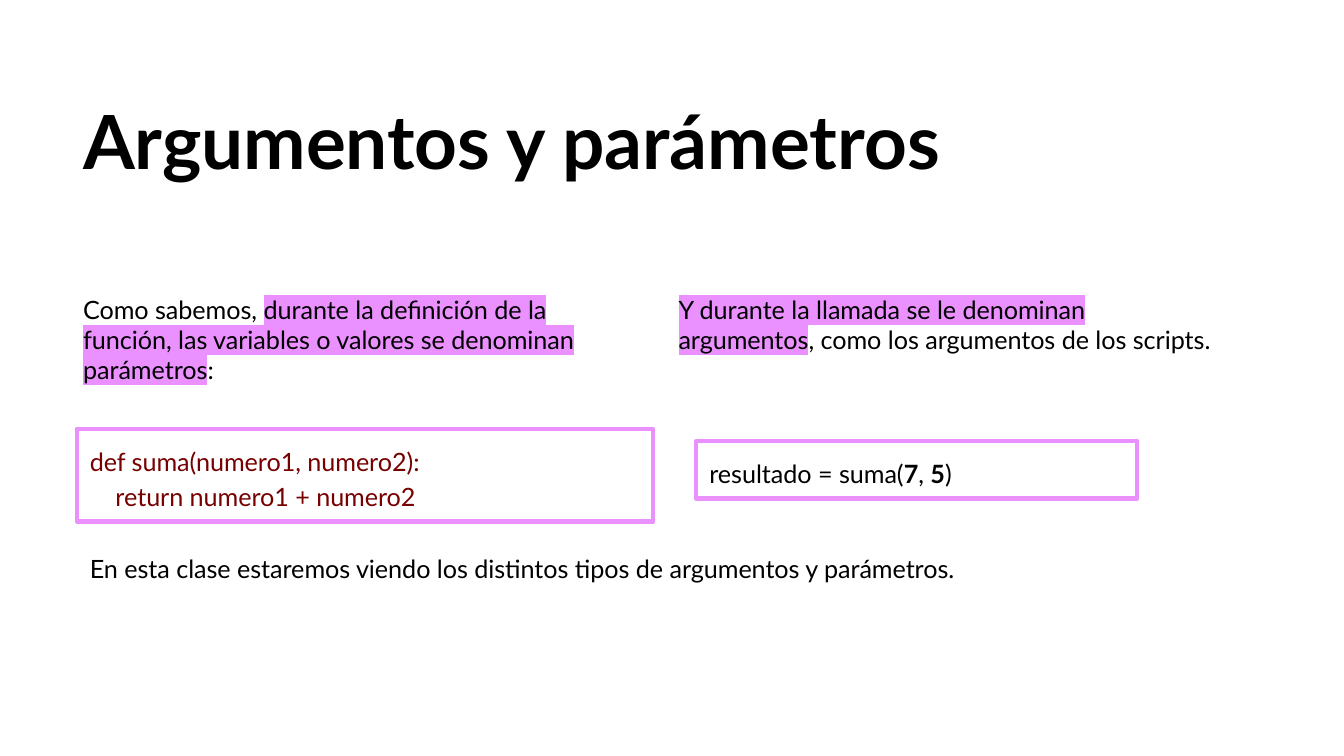
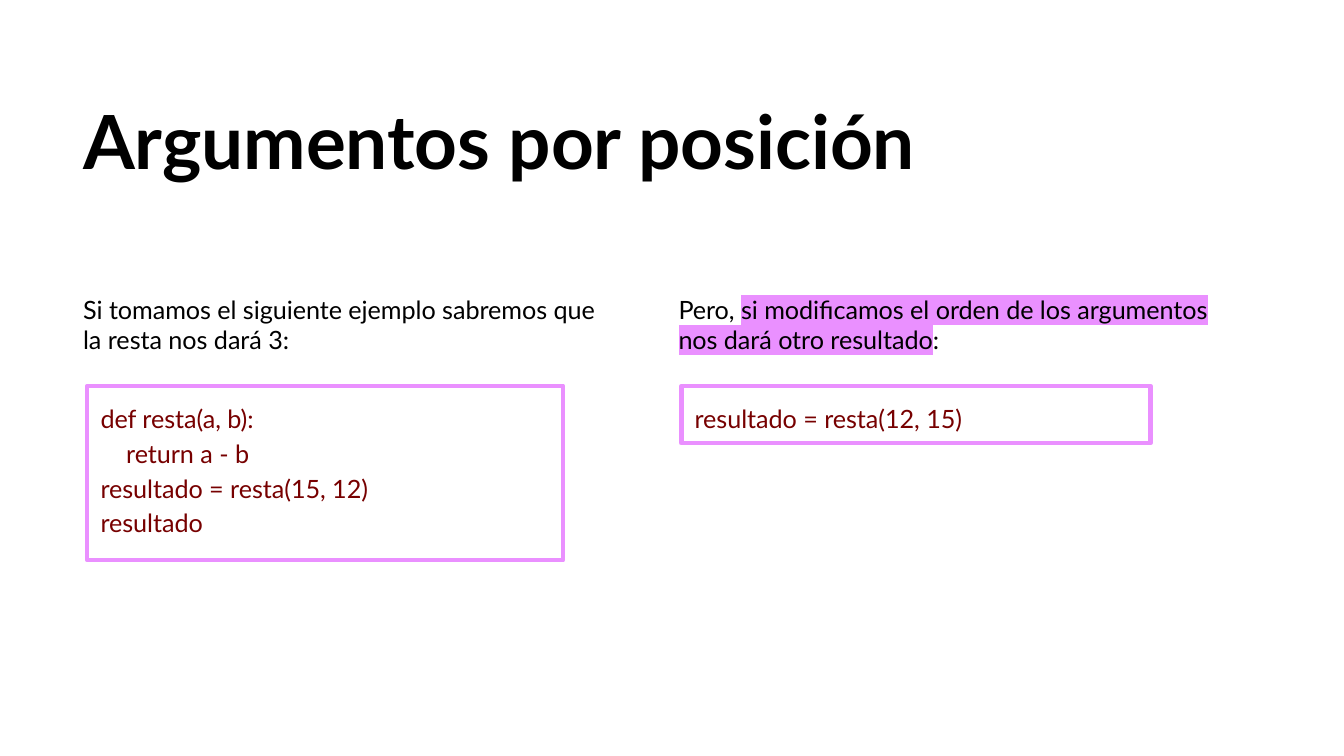
from pptx import Presentation
from pptx.dml.color import RGBColor
from pptx.enum.shapes import MSO_SHAPE
from pptx.enum.text import MSO_ANCHOR, MSO_AUTO_SIZE, PP_ALIGN
from pptx.oxml.ns import qn
from pptx.util import Emu, Pt
from lxml.etree import SubElement

# Scale: 100 px to the inch
PX = 9144
WIDE = 1000 * PX
BLACK = RGBColor(0x00, 0x00, 0x00)
WHITE = RGBColor(0xFF, 0xFF, 0xFF)
PINK = RGBColor(0xEA, 0x90, 0xFF)
WINE = RGBColor(0x77, 0x00, 0x00)
FONT = "Lato"
LEFT, RIGHT = 52, 495


def mark(run, color):
    """Highlight a run; the tag belongs right after the text fill."""
    props = run.font._element
    tag = SubElement(props, qn("a:highlight"))
    SubElement(tag, qn("a:srgbClr")).set("val", str(color))
    props.find(qn("a:solidFill")).addnext(tag)


def write(shape, lines, size=13.5, color=BLACK, bold=False, back=None,
          space=1.0, grow=True):
    """Each line is a list of runs: plain text or (text, changes)."""
    frame = shape.text_frame
    frame.word_wrap = True
    frame.vertical_anchor = MSO_ANCHOR.TOP
    frame.auto_size = (MSO_AUTO_SIZE.SHAPE_TO_FIT_TEXT if grow
                       else MSO_AUTO_SIZE.NONE)
    frame.margin_left = frame.margin_right = Emu(10 * PX)
    frame.margin_top = frame.margin_bottom = Emu(10 * PX)
    for i, line in enumerate(lines):
        para = frame.paragraphs[0] if i == 0 else frame.add_paragraph()
        para.alignment = PP_ALIGN.LEFT
        para.line_spacing = space
        for part in line:
            text, change = (part, {}) if isinstance(part, str) else part
            run = para.add_run()
            run.text = text
            run.font.name = FONT
            run.font.size = Pt(size)
            run.font.bold = change.get("bold", bold)
            run.font.color.rgb = color
            shade = change.get("back", back)
            if shade is not None:
                mark(run, shade)


class Deck:
    def __init__(self):
        self.file = Presentation()
        self.file.slide_width = Emu(WIDE)
        self.file.slide_height = Emu(WIDE * 9 // 16)
        self.slide = None

    def page(self, title):
        self.slide = self.file.slides.add_slide(self.file.slide_layouts[6])
        fill = self.slide.background.fill
        fill.solid()
        fill.fore_color.rgb = WHITE
        self.text((LEFT, 68, 890, 81), title, size=40, bold=True, space=0.9)

    def text(self, area, *runs, **style):
        box = self.slide.shapes.add_textbox(*(Emu(n * PX) for n in area))
        write(box, [runs], **style)

    def pair(self, high, first, second):
        """Two side-by-side texts under the title."""
        for x, runs in ((LEFT, first), (RIGHT, second)):
            self.text((x, 209, 419, high), *runs)

    def code(self, area, *lines, color=WINE, grow=True):
        box = self.slide.shapes.add_shape(
            MSO_SHAPE.RECTANGLE, *(Emu(n * PX) for n in area))
        box.shadow.inherit = False
        box.fill.background()
        box.line.color.rgb = PINK
        box.line.width = Pt(2.25)
        write(box, lines, color=color, back=WHITE, space=1.15, grow=grow)


def main():
    deck = Deck()
    key = {"back": PINK}
    bold = {"bold": True}

    # Arguments and parameters
    deck.page("Argumentos y parámetros")
    deck.pair(
        88,
        ["Como sabemos, ",
         ("durante la definición de la función, las variables o valores "
          "se denominan parámetros", key), ":"],
        [("Y durante la llamada se le denominan argumentos", key),
         ", como los argumentos de los scripts."])
    deck.code((57, 319, 429, 69),
              ["def suma(numero1, numero2):"],
              ["    return numero1 + numero2"])
    deck.code((518, 328, 328, 43),
              ["resultado = suma(", ("7", bold), ", ", ("5", bold), ")"],
              color=BLACK)
    deck.text((57, 402, 803, 67),
              "En esta clase estaremos viendo los distintos tipos de "
              "argumentos y parámetros.")

    # Arguments by position
    deck.page("Argumentos por posición")
    deck.pair(
        66,
        ["Si tomamos el siguiente ejemplo sabremos que la resta nos dará 3:"],
        ["Pero, ",
         ("si modificamos el orden de los argumentos nos dará otro resultado",
          key), ":"])
    deck.code((65, 287, 354, 130),
              ["def resta(a, b):"],
              ["    return a - b"],
              ["resultado = resta(15, 12)"],
              ["resultado"], grow=False)
    deck.code((507, 287, 349, 43), ["resultado = resta(12, 15)"])

    deck.file.save("out.pptx")


if __name__ == "__main__":
    main()
